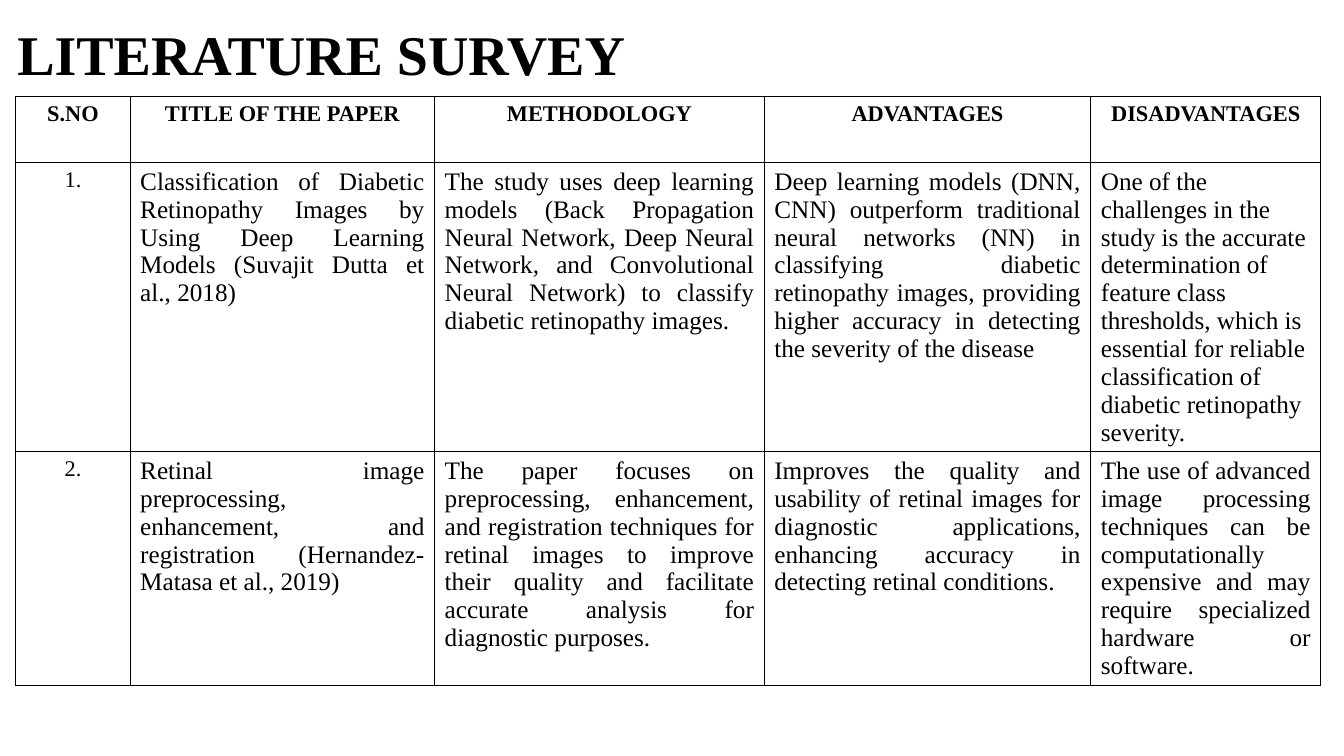
from lxml.etree import SubElement
from pptx import Presentation
from pptx.dml.color import RGBColor
from pptx.enum.text import MSO_ANCHOR, MSO_AUTO_SIZE, PP_ALIGN
from pptx.oxml.ns import qn
from pptx.util import Pt

PX = 9525
BLACK = RGBColor(0x00, 0x00, 0x00)
WHITE = RGBColor(0xFF, 0xFF, 0xFF)
FONT = "Times New Roman"
TITLE_ONLY_LAYOUT = 5

TITLE_BOX = (7, 0, 1104, 110)
TABLE_ORIGIN = (15, 92)
COLUMN_WIDTHS = (109, 290, 314, 311, 219)
ROW_HEIGHTS = (63, 258, 204)

HEADINGS = ("S.NO", "TITLE OF THE PAPER", "METHODOLOGY", "ADVANTAGES", "DISADVANTAGES")
PAPERS = (
    (
        "1.",
        "Classification of Diabetic Retinopathy Images by Using Deep Learning Models "
        "(Suvajit Dutta et al., 2018)",
        "The study uses deep learning models (Back Propagation Neural Network, Deep Neural "
        "Network, and Convolutional Neural Network) to classify diabetic retinopathy images.",
        "Deep learning models (DNN, CNN) outperform traditional neural networks (NN) in "
        "classifying diabetic retinopathy images, providing higher accuracy in detecting "
        "the severity of the disease",
        "One of the challenges in the study is the accurate determination of feature class "
        "thresholds, which is essential for reliable classification of diabetic retinopathy "
        "severity.",
    ),
    (
        "2.",
        "Retinal image preprocessing, enhancement, and registration "
        "(Hernandez-Matasa et al., 2019)",
        "The paper focuses on preprocessing, enhancement, and registration techniques for "
        "retinal images to improve their quality and facilitate accurate analysis for "
        "diagnostic purposes.",
        "Improves the quality and usability of retinal images for diagnostic applications, "
        "enhancing accuracy in detecting retinal conditions.",
        "The use of advanced image processing techniques can be computationally expensive "
        "and may require specialized hardware or software.",
    ),
)
LEFT_ALIGNED_CELL = (1, 4)


def write_text(text_frame, text, size, bold=False, align=PP_ALIGN.LEFT, line_spacing=None):
    paragraph = text_frame.paragraphs[0]
    paragraph.alignment = align
    paragraph.line_spacing = line_spacing
    run = paragraph.add_run()
    run.text = text
    run.font.name = FONT
    run.font.size = Pt(size)
    run.font.bold = bold
    run.font.color.rgb = BLACK


def format_cell(cell):
    properties = cell._tc.get_or_add_tcPr()
    for side in ("a:lnL", "a:lnR", "a:lnT", "a:lnB"):
        line = SubElement(properties, qn(side), w=str(Pt(1)))
        fill = SubElement(line, qn("a:solidFill"))
        SubElement(fill, qn("a:srgbClr"), val=str(BLACK))
    cell.fill.solid()
    cell.fill.fore_color.rgb = WHITE


def add_title(slide, box):
    title = slide.shapes.title
    title.left, title.top, title.width, title.height = (length * PX for length in box)
    title.text_frame.auto_size = MSO_AUTO_SIZE.NONE
    title.text_frame.vertical_anchor = MSO_ANCHOR.MIDDLE
    write_text(title.text_frame, "LITERATURE SURVEY", 40, bold=True, line_spacing=0.9)


def add_survey_table(slide, origin):
    left, top = origin
    rows = (HEADINGS, *PAPERS)
    table = slide.shapes.add_table(
        len(rows), len(HEADINGS), left * PX, top * PX,
        sum(COLUMN_WIDTHS) * PX, sum(ROW_HEIGHTS) * PX,
    ).table
    for column, width in zip(table.columns, COLUMN_WIDTHS):
        column.width = width * PX
    for row, height in zip(table.rows, ROW_HEIGHTS):
        row.height = height * PX
    for row_index, texts in enumerate(rows):
        for column_index, text in enumerate(texts):
            cell = table.cell(row_index, column_index)
            format_cell(cell)
            is_heading = row_index == 0
            is_centered = is_heading or column_index == 0
            if is_centered:
                align = PP_ALIGN.CENTER
            elif (row_index, column_index) == LEFT_ALIGNED_CELL:
                align = PP_ALIGN.LEFT
            else:
                align = PP_ALIGN.JUSTIFY
            write_text(cell.text_frame, text, 16 if is_centered else 18,
                       bold=is_heading, align=align)


def main():
    presentation = Presentation()
    presentation.slide_width = 1280 * PX
    presentation.slide_height = 720 * PX
    slide = presentation.slides.add_slide(presentation.slide_layouts[TITLE_ONLY_LAYOUT])
    add_title(slide, TITLE_BOX)
    add_survey_table(slide, TABLE_ORIGIN)
    presentation.save("out.pptx")


if __name__ == "__main__":
    main()
